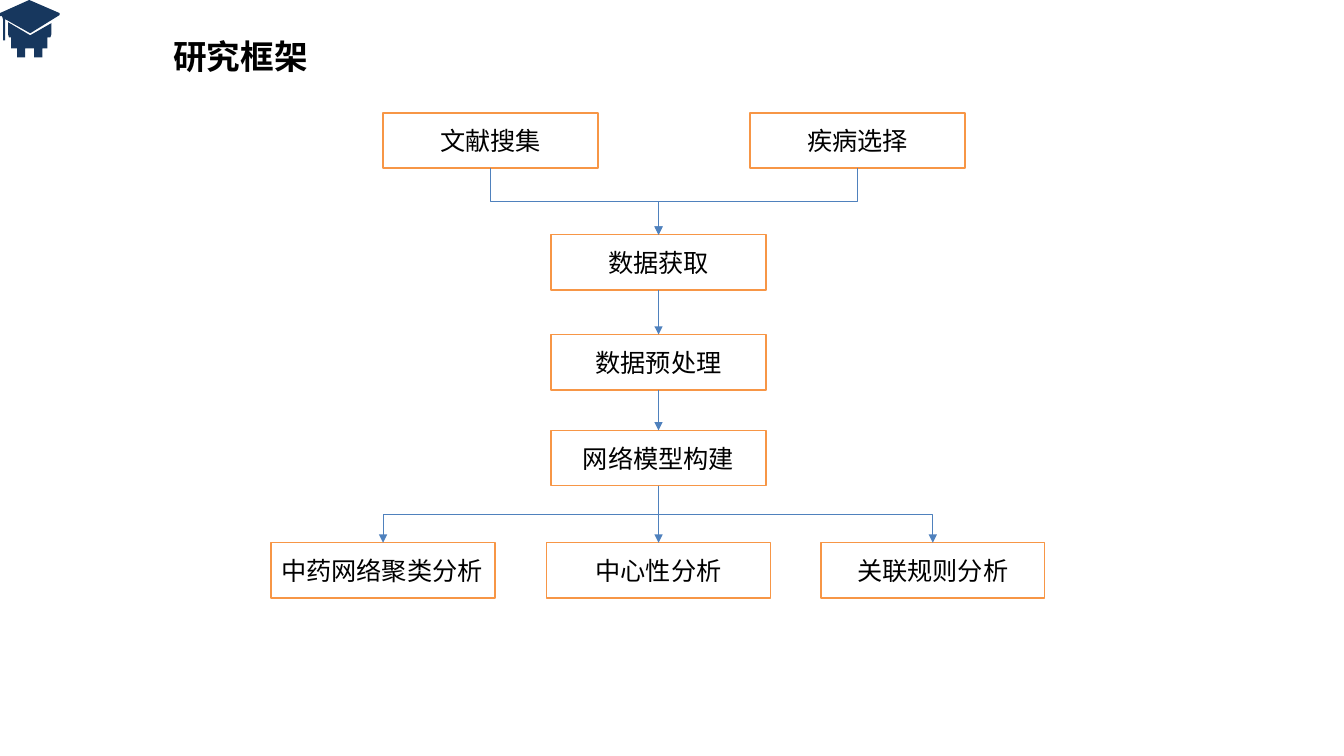
"""Build the research framework slide."""
from lxml.etree import SubElement
from pptx import Presentation
from pptx.dml.color import RGBColor
from pptx.enum.shapes import MSO_CONNECTOR, MSO_SHAPE
from pptx.enum.text import MSO_ANCHOR, PP_ALIGN
from pptx.oxml.ns import qn
from pptx.util import Inches, Pt

NAVY = RGBColor(0x17, 0x37, 0x5E)
ORANGE = RGBColor(0xF7, 0x96, 0x46)
BLUE = RGBColor(0x4F, 0x81, 0xBD)
BLACK = RGBColor(0, 0, 0)
WHITE = RGBColor(255, 255, 255)

WIDTH, HEIGHT = Inches(13.33), Inches(7.5)
COL, ROW = WIDTH / 100, HEIGHT / 100
CJK_FONT = "Noto Sans CJK SC"
TITLE_FORMAT = {"size": Pt(24), "name": CJK_FONT, "bold": True}
STEP_FORMAT = {"size": Pt(18), "name": "Calibri"}

CAP_UNIT = HEIGHT / 750
CAP_BOARD = [(0, 16), (2, 16), (3, 19), (3, 40), (5, 40), (5, 19), (30, 33),
             (59, 15), (59, 13), (29, 0), (0, 13)]
CAP_BODY = [(47, 37), (50, 37), (51, 34), (51, 23), (30, 35), (8, 22), (8, 34),
            (9, 37), (11, 37), (11, 48), (17, 48), (17, 57), (25, 57), (25, 48),
            (34, 48), (34, 57), (42, 57), (42, 48), (47, 48)]

STEP_ROWS = 7.33
STEP_COLS, ANALYSIS_COLS = 16, 16.65
INPUT_TOP, FETCH_TOP, CLEAN_TOP, MODEL_TOP, ANALYSIS_TOP = 0, 16.13, 29.33, 42, 56.87
MIDDLE = 28.8
STEPS = {
    "文献搜集": (16.3, INPUT_TOP, STEP_COLS),
    "疾病选择": (43.6, INPUT_TOP, STEP_COLS),
    "数据获取": (MIDDLE, FETCH_TOP, STEP_COLS),
    "数据预处理": (MIDDLE, CLEAN_TOP, STEP_COLS),
    "网络模型构建": (MIDDLE, MODEL_TOP, STEP_COLS),
    "中药网络聚类分析": (8.3, ANALYSIS_TOP, ANALYSIS_COLS),
    "中心性分析": (MIDDLE, ANALYSIS_TOP, ANALYSIS_COLS),
    "关联规则分析": (49.2, ANALYSIS_TOP, ANALYSIS_COLS),
}
LEFT_ALIGNED = {"中药网络聚类分析"}
FLOWS = [
    ("文献搜集", "数据获取"), ("疾病选择", "数据获取"),
    ("数据获取", "数据预处理"), ("数据预处理", "网络模型构建"),
    ("网络模型构建", "中药网络聚类分析"), ("网络模型构建", "中心性分析"),
    ("网络模型构建", "关联规则分析"),
]


def write(frame, wording, font_format, align):
    """Put one formatted line of black text in a frame."""
    frame.word_wrap = True
    line = frame.paragraphs[0]
    line.alignment = align
    run = line.add_run()
    run.text = wording
    for attribute, value in font_format.items():
        setattr(run.font, attribute, value)
    run.font.color.rgb = BLACK
    SubElement(run.font._element, qn("a:ea")).set("typeface", CJK_FONT)


def add_header(slide, left, top):
    """Draw the graduation cap and the slide title beside it."""
    for outline in (CAP_BOARD, CAP_BODY):
        builder = slide.shapes.build_freeform(*outline[0], scale=CAP_UNIT)
        builder.add_line_segments(outline[1:], close=True)
        cap = builder.convert_to_shape(round(left / CAP_UNIT), round(top / CAP_UNIT))
        cap.shadow.inherit = False
        cap.fill.solid()
        cap.fill.fore_color.rgb = NAVY
        cap.line.fill.background()
    title = slide.shapes.add_textbox(
        int(left + 4.43 * COL), int(top + 0.27 * ROW), int(34.3 * COL), int(6.67 * ROW))
    write(title.text_frame, "研究框架", TITLE_FORMAT, PP_ALIGN.LEFT)


def add_step(slide, wording, left, top, width, height):
    """Draw one outlined step of the flow chart."""
    step = slide.shapes.add_shape(
        MSO_SHAPE.RECTANGLE, int(left), int(top), int(width), int(height))
    step.shadow.inherit = False
    step.fill.solid()
    step.fill.fore_color.rgb = WHITE
    step.line.color.rgb = ORANGE
    step.line.width = Pt(1)
    step.text_frame.vertical_anchor = MSO_ANCHOR.MIDDLE
    align = PP_ALIGN.LEFT if wording in LEFT_ALIGNED else PP_ALIGN.CENTER
    write(step.text_frame, wording, STEP_FORMAT, align)


def add_flow(slide, x1, y1, x2, y2):
    """Draw an arrow that leaves and arrives vertically, bent halfway if needed."""
    if x1 == x2:
        arrow = slide.shapes.add_connector(
            MSO_CONNECTOR.STRAIGHT, int(x1), int(y1), int(x2), int(y2))
    else:
        rightward = x2 > x1
        mid_x, mid_y = (x1 + x2) / 2, (y1 + y2) / 2
        half_run, half_drop = abs(x2 - x1) / 2, (y2 - y1) / 2
        reach = -half_drop if rightward else half_drop
        arrow = slide.shapes.add_connector(
            MSO_CONNECTOR.ELBOW, int(mid_x - reach), int(mid_y - half_run),
            int(mid_x + reach), int(mid_y + half_run))
        turn = 270 if rightward else 90
        arrow._element.spPr.find(qn("a:xfrm")).set("rot", str(turn * 60000))
    arrow.line.color.rgb = BLUE
    arrow.line.width = Pt(0.5)
    properties = arrow._element.spPr
    SubElement(properties.find(qn("a:ln")), qn("a:tailEnd")).set("type", "triangle")
    SubElement(properties, qn("a:effectLst"))


def add_flow_chart(slide, left, top):
    """Draw all steps and the arrows between them."""
    for wording, (centre, row, columns) in STEPS.items():
        add_step(slide, wording, left + (centre - columns / 2) * COL,
                 top + row * ROW, columns * COL, STEP_ROWS * ROW)
    for source, target in FLOWS:
        source_centre, source_row, _ = STEPS[source]
        target_centre, target_row, _ = STEPS[target]
        add_flow(slide, left + source_centre * COL, top + (source_row + STEP_ROWS) * ROW,
                 left + target_centre * COL, top + target_row * ROW)


def main():
    """Build and save the slide."""
    deck = Presentation()
    deck.slide_width, deck.slide_height = WIDTH, HEIGHT
    slide = deck.slides.add_slide(deck.slide_layouts[6])
    add_header(slide, 7.73 * COL, 3.87 * ROW)
    add_flow_chart(slide, 20.2 * COL, 14.93 * ROW)
    deck.save("out.pptx")


if __name__ == "__main__":
    main()
